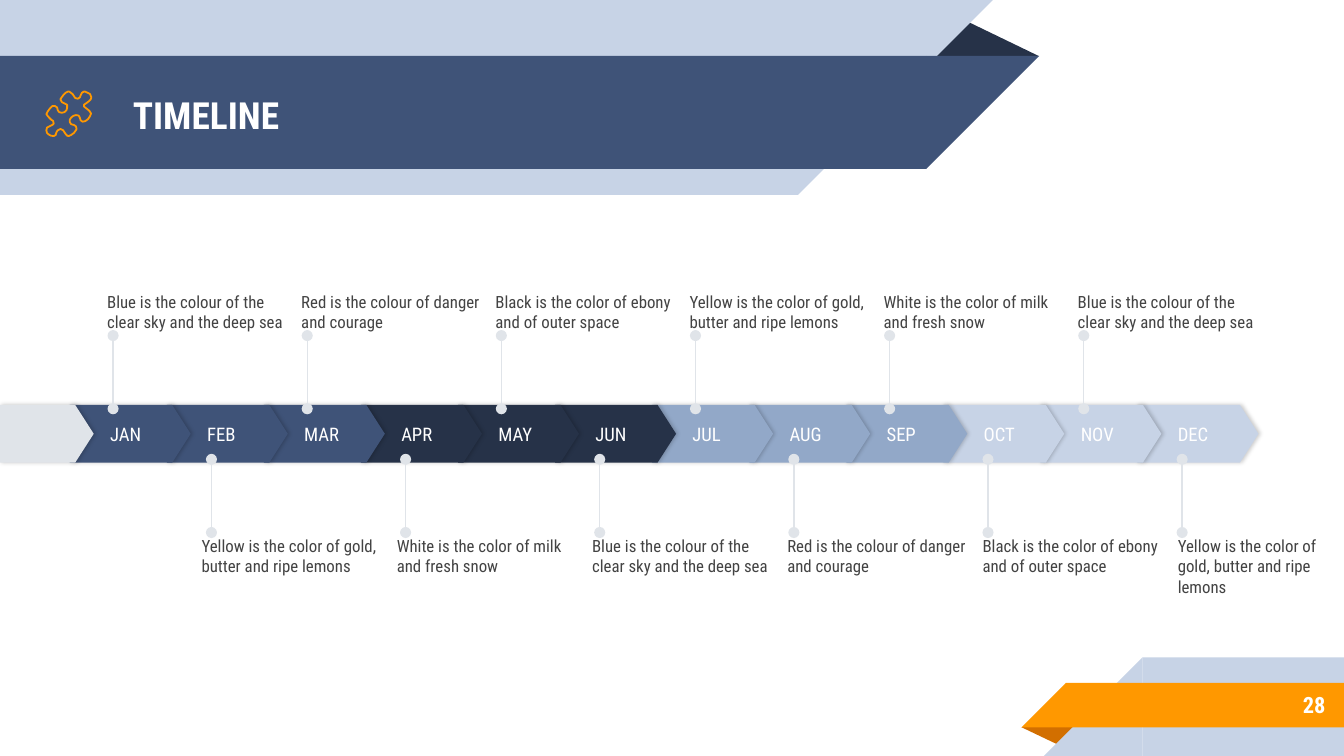
from lxml.etree import SubElement
from pptx import Presentation
from pptx.dml.color import RGBColor
from pptx.enum.shapes import MSO_CONNECTOR, MSO_SHAPE
from pptx.enum.text import MSO_ANCHOR, PP_ALIGN
from pptx.oxml.ns import qn
from pptx.util import Pt

FONT = "Roboto Condensed"
WHITE = RGBColor(0xFF, 0xFF, 0xFF)
GREY = RGBColor(0xE0, 0xE4, 0xE9)
TEXT = RGBColor(0x43, 0x43, 0x43)
PALE = RGBColor(0xC7, 0xD3, 0xE6)
MID = RGBColor(0x92, 0xA8, 0xC8)
BLUE = RGBColor(0x3F, 0x53, 0x78)
NAVY = RGBColor(0x26, 0x32, 0x48)
ORANGE = RGBColor(0xFF, 0x98, 0x00)
RUST = RGBColor(0xD2, 0x6F, 0x00)

MONTHS = ["JAN", "FEB", "MAR", "APR", "MAY", "JUN",
          "JUL", "AUG", "SEP", "OCT", "NOV", "DEC"]
QUARTERS = [BLUE, NAVY, MID, PALE]
MONTH_STEP = 52
EVENT_STEP = 2 * MONTH_STEP

SKY = "Blue is the colour of the clear sky and the deep sea"
DANGER = "Red is the colour of danger and courage"
EBONY = "Black is the color of ebony and of outer space"
GOLD = "Yellow is the color of gold, butter and ripe lemons"
MILK = "White is the color of milk and fresh snow"
EVENTS_ABOVE = [SKY, DANGER, EBONY, GOLD, MILK, SKY]
EVENTS_BELOW = [GOLD, MILK, SKY, DANGER, EBONY, GOLD]

# Puzzle piece outline, in hundredths of an inch
PUZZLE = [
    (64, 77), (66, 75.5), (67.5, 74), (68, 72.5), (67, 70), (65, 69), (63, 68),
    (61, 69), (60, 71), (59.5, 72.5), (58, 73.5), (56, 73), (54, 70), (52, 68.5),
    (51, 68), (49, 69), (47, 71), (45.5, 73), (45, 74), (46, 76), (48, 77),
    (50, 78), (50, 80), (49.5, 82), (48, 83.5), (46, 84), (44, 83.5), (43, 82),
    (42.5, 80), (41, 79), (39, 79), (37, 81), (35.5, 83), (34.5, 85), (36, 87),
    (38, 89), (39.5, 90), (40, 92), (39, 93), (37, 94), (35, 95), (34.5, 97),
    (35, 99), (36, 100), (38, 101), (40, 101.3), (41.5, 100.5), (42, 98.5),
    (43, 97), (45, 96), (47, 97), (49, 100), (50, 101), (51, 101.3), (53, 100.5),
    (55, 99), (56.5, 97), (57, 96), (56.5, 94), (55, 93), (53, 92.5), (52, 91),
    (52, 89), (53, 87.5), (54.5, 86.3), (56.5, 85.7), (58.5, 86), (59.4, 87.5),
    (60, 89.5), (61.5, 90.6), (63.5, 90.2), (65.5, 88.7), (67, 86.5),
    (67.8, 84.5), (66.5, 82.5), (64, 80.5), (62.5, 79.3), (62.5, 78),
]


def add_shape(s, kind, x, y, w, h, fill, rotation=0, adj=None):
    sp = s.shapes.add_shape(kind, Pt(x), Pt(y), Pt(w), Pt(h))
    sp.shadow.inherit = False
    sp.fill.solid()
    sp.fill.fore_color.rgb = fill
    sp.line.fill.background()
    sp.rotation = rotation
    if adj is not None:
        sp.adjustments[0] = adj
    return sp


def set_text(sp, text, size, color, bold=False, align=PP_ALIGN.LEFT,
             anchor=MSO_ANCHOR.MIDDLE, inset=(0, 0, 0, 0)):
    tf = sp.text_frame
    tf.word_wrap = True
    tf.vertical_anchor = anchor
    (tf.margin_left, tf.margin_top,
     tf.margin_right, tf.margin_bottom) = [Pt(v) for v in inset]
    p = tf.paragraphs[0]
    p.alignment = align
    r = p.add_run()
    r.text = text
    r.font.name, r.font.size, r.font.bold = FONT, Pt(size), bold
    r.font.color.rgb = color


def add_text(s, x, y, w, h, text, **fmt):
    set_text(s.shapes.add_textbox(Pt(x), Pt(y), Pt(w), Pt(h)), text, **fmt)


def add_arrow_block(s, x, w, fill):
    sp = add_shape(s, MSO_SHAPE.PENTAGON, x, 216.9, w, 31, fill, adj=0.32)
    # Soft shadow to the right
    effects = sp._element.spPr.find(qn("a:effectLst"))
    shadow = SubElement(effects, qn("a:outerShdw"), blurRad=str(Pt(2.2)),
                        dist=str(Pt(0.8)), dir="0", algn="ctr", rotWithShape="0")
    color = SubElement(shadow, qn("a:srgbClr"), val="000000")
    SubElement(color, qn("a:alpha"), val="20000")
    return sp


def add_pin(s, x, y1, y2):
    line = s.shapes.add_connector(MSO_CONNECTOR.STRAIGHT, Pt(x), Pt(y1), Pt(x), Pt(y2))
    line.line.color.rgb = GREY
    line.line.width = Pt(0.75)
    ln = line.line._get_or_add_ln()
    for end in ("a:headEnd", "a:tailEnd"):
        SubElement(ln, qn(end), type="oval")
    SubElement(line._element.spPr, qn("a:effectLst"))


def add_puzzle_icon(s):
    points = [(Pt(x * 0.72), Pt(y * 0.72)) for x, y in PUZZLE]
    builder = s.shapes.build_freeform(*points[0])
    builder.add_line_segments(points[1:], close=True)
    sp = builder.convert_to_shape()
    sp.shadow.inherit = False
    sp.fill.background()
    sp.line.color.rgb = ORANGE
    sp.line.width = Pt(0.96)


def add_header(s):
    add_shape(s, MSO_SHAPE.ISOSCELES_TRIANGLE, 495.4, 10.1, 61.2, 20, NAVY, adj=0.324)
    for y, w, h, fill in [(0, 427.5, 104.4, PALE), (30, 496.2, 60.5, BLUE)]:
        add_shape(s, MSO_SHAPE.RECTANGLE, 0, y, w, h, fill)
        add_shape(s, MSO_SHAPE.RIGHT_TRIANGLE, w, y, h, h, fill, rotation=90)
    add_text(s, 64.1, 31, 414, 60.5, "TIMELINE", size=20, color=WHITE, bold=True,
             inset=(7.2,) * 4)
    add_puzzle_icon(s)


def add_footer(s):
    add_shape(s, MSO_SHAPE.ISOSCELES_TRIANGLE, 547.2, 389.6, 31, 10, RUST,
              rotation=180, adj=0.324)
    for x, y, h, fill in [(612, 352.2, 52.8, PALE), (571, 365.9, 23.8, ORANGE)]:
        add_shape(s, MSO_SHAPE.RECTANGLE, x, y, 720 - x, h, fill)
        add_shape(s, MSO_SHAPE.RIGHT_TRIANGLE, x - h, y, h, h, fill, rotation=270)
    add_text(s, 599.8, 365, 117.4, 25.2, "28", size=12, color=WHITE, bold=True,
             align=PP_ALIGN.RIGHT, inset=(7.2,) * 4)


def add_months(s):
    # Last month first, so that each block overlaps the next one
    for i, month in reversed(list(enumerate(MONTHS))):
        sp = add_arrow_block(s, 37.4 + i * MONTH_STEP, 64.8, QUARTERS[i // 3])
        set_text(sp, month, size=10, color=WHITE, inset=(21.6, 0, 0, 0))
    add_arrow_block(s, 0, 50.2, GREY)


def add_events(s):
    for i, text in enumerate(EVENTS_ABOVE):
        add_pin(s, 60.6 + i * EVENT_STEP, 219, 179.8)
        add_text(s, 57.4 + i * EVENT_STEP, 136.1, 98.6, 41.8, text, size=9,
                 color=TEXT, anchor=MSO_ANCHOR.BOTTOM)
    for i, text in enumerate(EVENTS_BELOW):
        add_pin(s, 113.3 + i * EVENT_STEP, 285.3, 246.1)
        width = 81.4 if i == len(EVENTS_BELOW) - 1 else 98.6
        add_text(s, 108 + i * 104.6, 287.1, width, 41.8, text, size=9,
                 color=TEXT, anchor=MSO_ANCHOR.TOP)


def main():
    prs = Presentation()
    prs.slide_width, prs.slide_height = Pt(720), Pt(405)
    s = prs.slides.add_slide(prs.slide_layouts[6])
    add_header(s)
    add_footer(s)
    add_months(s)
    add_events(s)
    prs.save("out.pptx")


if __name__ == "__main__":
    main()
